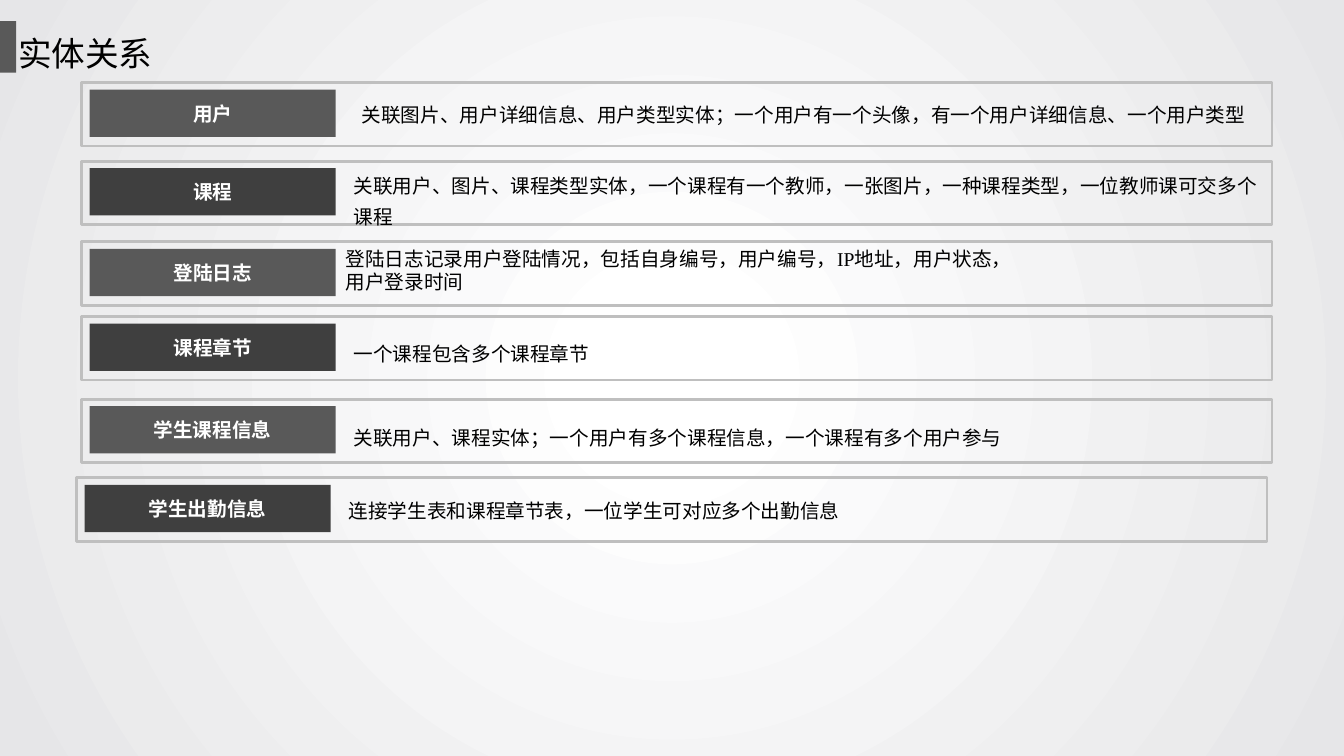
from dataclasses import dataclass

from lxml.etree import SubElement
from pptx import Presentation
from pptx.dml.color import RGBColor
from pptx.enum.shapes import MSO_SHAPE
from pptx.enum.text import MSO_ANCHOR, MSO_AUTO_SIZE, PP_ALIGN
from pptx.oxml.ns import qn
from pptx.util import Pt

WHITE = RGBColor(0xFF, 0xFF, 0xFF)
BLACK = RGBColor(0x00, 0x00, 0x00)
MIST = RGBColor(0xE6, 0xE6, 0xE8)
SILVER = RGBColor(0xBF, 0xBF, 0xBF)
GREY = RGBColor(0x59, 0x59, 0x59)
CHARCOAL = RGBColor(0x3F, 0x3F, 0x3F)

SANS = "Noto Sans CJK SC"
ARIAL = "Arial"
TIMES = "Times New Roman"


@dataclass
class Entity:
    """One row; the text box is left, top, width, height."""
    name: str
    left: float
    top: float
    description: str
    text_box: tuple
    font: str = SANS
    line_spacing: float = 1.0
    wrap: bool = True


ENTITIES = [
    Entity("用户", 58.3, 59,
           "关联图片、用户详细信息、用户类型实体；一个用户有一个头像，有一个用户详细信息、一个用户类型",
           (251.3, 69.8, 657.4, 24.5)),
    Entity("课程", 58.3, 115.2,
           "关联用户、图片、课程类型实体，一个课程有一个教师，一张图片，一种课程类型，一位教师课可交多个课程",
           (245.5, 115.9, 663.1, 49), ARIAL, 1.3),
    Entity("登陆日志", 58.3, 172.8,
           "登陆日志记录用户登陆情况，包括自身编号，用户编号，IP地址，用户状态，用户登录时间",
           (239.8, 172.8, 480.2, 41), TIMES),
    Entity("课程章节", 58.3, 226.1, "一个课程包含多个课程章节",
           (245.5, 240.5, 184.3, 24.5), TIMES, wrap=False),
    Entity("学生课程信息", 58.3, 285.1,
           "关联用户、课程实体；一个用户有多个课程信息，一个课程有多个用户参与",
           (245.5, 295.9, 663.1, 26.6), ARIAL, 1.3),
    Entity("学生出勤信息", 54.7, 341.3,
           "连接学生表和课程章节表，一位学生可对应多个出勤信息",
           (241.9, 347.8, 663.1, 26), SANS, 1.3),
]


def write_text(shape, text, font=SANS, size=14, color=BLACK, bold=False,
               align=PP_ALIGN.LEFT, line_spacing=1.0, wrap=True):
    frame = shape.text_frame
    frame.word_wrap = wrap
    paragraph = frame.paragraphs[0]
    paragraph.alignment = align
    paragraph.line_spacing = line_spacing
    run = paragraph.add_run()
    run.text = text
    run.font.name = font
    run.font.size = Pt(size)
    run.font.bold = bold
    run.font.color.rgb = color
    SubElement(run.font._element, qn("a:ea")).set("typeface", SANS)


class SlideBuilder:
    def __init__(self, slide):
        self.slide = slide

    def radial_background(self, inner, outer):
        fill = self.slide.background.fill
        fill.gradient()
        for stop, color, position in zip(fill.gradient_stops, (inner, outer), (0.09, 1)):
            stop.color.rgb = color
            stop.position = position
        gradient = next(self.slide.element.iter(qn("a:gradFill")))
        gradient.remove(gradient.find(qn("a:lin")))
        circle = SubElement(gradient, qn("a:path"))
        circle.set("path", "circle")
        center = SubElement(circle, qn("a:fillToRect"))
        for side in "ltrb":
            center.set(side, "50000")

    def rectangle(self, shapes, left, top, width, height, fill=None, line=None):
        shape = shapes.add_shape(MSO_SHAPE.RECTANGLE, Pt(left), Pt(top),
                                 Pt(width), Pt(height))
        shape.shadow.inherit = False
        if fill is None:
            shape.fill.background()
        else:
            shape.fill.solid()
            shape.fill.fore_color.rgb = fill
        if line is None:
            shape.line.fill.background()
        else:
            shape.line.color.rgb = line
            shape.line.width = Pt(2)
        return shape

    def text(self, shapes, box, text, **text_format):
        shape = shapes.add_textbox(*(Pt(length) for length in box))
        write_text(shape, text, **text_format)
        shape.text_frame.auto_size = MSO_AUTO_SIZE.SHAPE_TO_FIT_TEXT

    def entity_row(self, entity, label_color):
        shapes = self.slide.shapes.add_group_shape().shapes
        self.rectangle(shapes, entity.left, entity.top, 850.3, 45.4, line=SILVER)
        label = self.rectangle(shapes, entity.left + 5.8, entity.top + 5,
                               175.7, 33.8, fill=label_color)
        label.text_frame.vertical_anchor = MSO_ANCHOR.MIDDLE
        write_text(label, entity.name, color=WHITE, bold=True,
                   align=PP_ALIGN.CENTER, wrap=False)
        self.text(shapes, entity.text_box, entity.description, font=entity.font,
                  line_spacing=entity.line_spacing, wrap=entity.wrap)


def main():
    presentation = Presentation()
    presentation.slide_width = Pt(960)
    presentation.slide_height = Pt(540)
    slide = presentation.slides.add_slide(presentation.slide_layouts[6])
    builder = SlideBuilder(slide)

    builder.radial_background(WHITE, MIST)
    builder.text(slide.shapes, (5.8, 20.2, 208, 36.7), "实体关系", size=24)
    builder.rectangle(slide.shapes, 0, 15.1, 11.5, 36.7, fill=GREY)
    for index, entity in enumerate(ENTITIES):
        builder.entity_row(entity, CHARCOAL if index % 2 else GREY)

    presentation.save("out.pptx")


if __name__ == "__main__":
    main()
